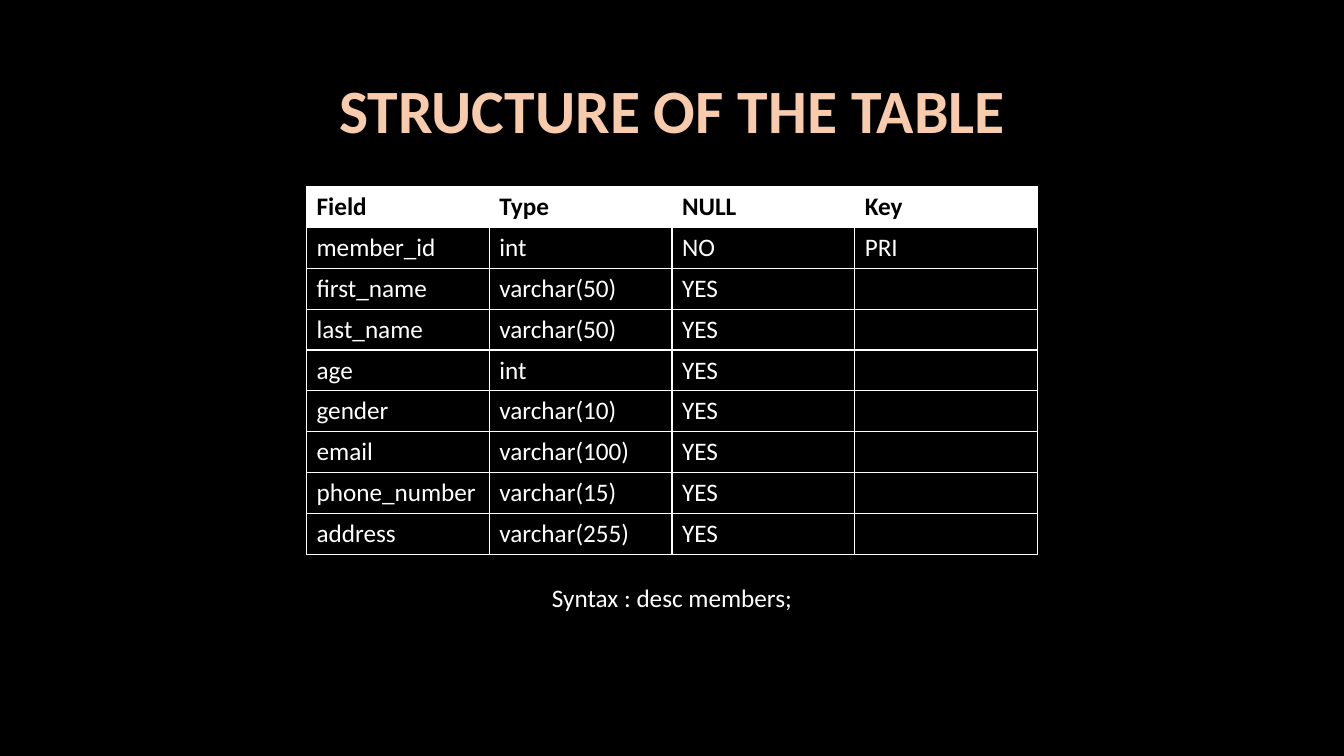
from lxml.etree import SubElement
from pptx import Presentation
from pptx.dml.color import RGBColor
from pptx.enum.text import MSO_ANCHOR as ANCHOR, PP_ALIGN as ALIGN
from pptx.oxml.ns import qn
from pptx.util import Inches, Pt

BLACK = RGBColor(0x00, 0x00, 0x00)
WHITE = RGBColor(0xFF, 0xFF, 0xFF)
PEACH = RGBColor(0xF8, 0xCB, 0xAD)
ORANGE = RGBColor(0xED, 0x7D, 0x31)

ROWS = [
    ("Field", "Type", "NULL", "Key"),
    ("member_id", "int", "NO", "PRI"),
    ("first_name", "varchar(50)", "YES", ""),
    ("last_name", "varchar(50)", "YES", ""),
    ("age", "int", "YES", ""),
    ("gender", "varchar(10)", "YES", ""),
    ("email", "varchar(100)", "YES", ""),
    ("phone_number", "varchar(15)", "YES", ""),
    ("address", "varchar(255)", "YES", ""),
]


class SlideBuilder:
    font = "Calibri"
    body_size = 18
    title_size = 44
    inner_border = 1
    outer_border = 0.5

    def __init__(self, prs):
        self.slide = prs.slides.add_slide(prs.slide_layouts[5])
        fill = self.slide.background.fill
        fill.solid()
        fill.fore_color.rgb = BLACK

    def format(self, p, size, color, bold=False):
        for r in p.runs:
            r.font.name = self.font
            r.font.size = Pt(size)
            r.font.bold = bold
            r.font.color.rgb = color

    def line(self, parent, tag, width, color):
        ln = SubElement(parent, qn(tag), w=str(Pt(width)))
        fill = SubElement(ln, qn("a:solidFill"))
        SubElement(fill, qn("a:srgbClr"), val=str(color))
        return ln

    def title(self, text, left, top, width, height):
        sp = self.slide.shapes.title
        sp.left, sp.top = Inches(left), Inches(top)
        sp.width, sp.height = Inches(width), Inches(height)
        tf = sp.text_frame
        tf.text = text
        tf.word_wrap = True
        tf.vertical_anchor = ANCHOR.MIDDLE
        p = tf.paragraphs[0]
        p.alignment = ALIGN.CENTER
        p.line_spacing = 0.9
        self.format(p, self.title_size, PEACH, bold=True)
        rPr = p.runs[0].font._element
        rPr.insert(0, self.line(rPr, "a:ln", 1.75, ORANGE))

    def text(self, text, left, top, width, height):
        sp = self.slide.shapes.add_textbox(
            Inches(left), Inches(top), Inches(width), Inches(height))
        tf = sp.text_frame
        tf.word_wrap = True
        tf.text = text
        p = tf.paragraphs[0]
        p.alignment = ALIGN.CENTER
        self.format(p, self.body_size, WHITE)

    def table(self, rows, left, top, width, height):
        last_row, last_col = len(rows) - 1, len(rows[0]) - 1
        table = self.slide.shapes.add_table(
            len(rows), len(rows[0]), Inches(left), Inches(top),
            Inches(width), Inches(height)).table
        for i, values in enumerate(rows):
            for j, value in enumerate(values):
                outer = {"a:lnL": j == 0, "a:lnR": j == last_col,
                         "a:lnT": i == 0, "a:lnB": i == last_row}
                self.cell(table.cell(i, j), value, i == 0, outer)

    def cell(self, cell, value, header, outer):
        tcPr = cell._tc.get_or_add_tcPr()
        for tag, is_outer in outer.items():
            width = self.outer_border if is_outer else self.inner_border
            self.line(tcPr, tag, width, WHITE)
        cell.fill.solid()
        cell.fill.fore_color.rgb = WHITE if header else BLACK
        cell.vertical_anchor = ANCHOR.TOP if header else ANCHOR.MIDDLE
        if value:
            cell.text_frame.text = value
            self.format(cell.text_frame.paragraphs[0], self.body_size,
                        BLACK if header else WHITE, bold=header)


def main():
    prs = Presentation()
    prs.slide_width, prs.slide_height = Inches(13.33), Inches(7.5)
    s = SlideBuilder(prs)
    s.table(ROWS, 3.04, 1.85, 7.25, 3.65)
    s.title("STRUCTURE OF THE TABLE", 0.92, 0.4, 11.5, 1.45)
    s.text("Syntax : desc members;", 3.3, 5.73, 6.73, 0.4)
    prs.save("out.pptx")


if __name__ == "__main__":
    main()
